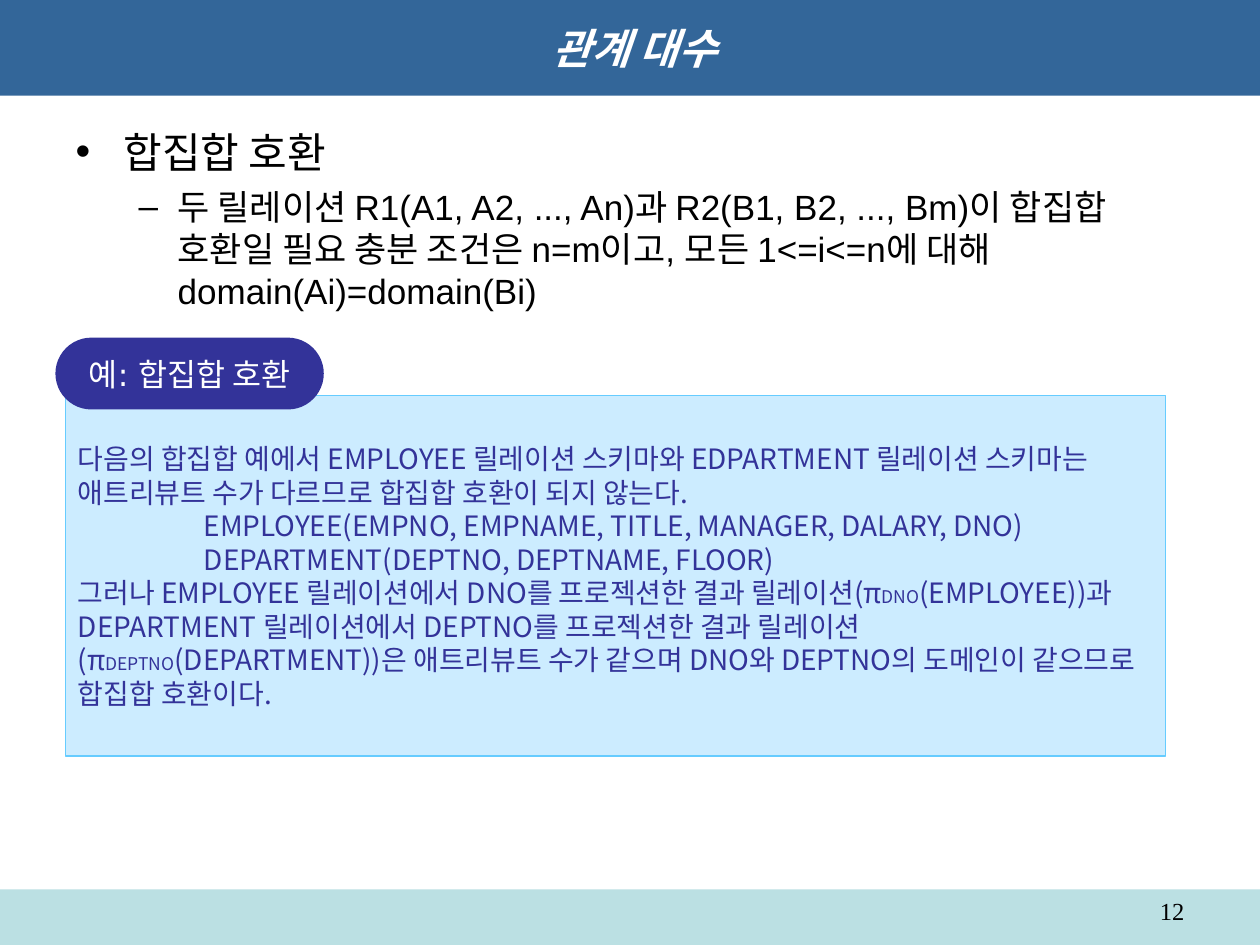
"""Build the relational algebra slide on union compatibility."""
from lxml import etree
from pptx import Presentation
from pptx.dml.color import RGBColor
from pptx.enum.shapes import MSO_SHAPE
from pptx.enum.text import MSO_ANCHOR, MSO_AUTO_SIZE, PP_ALIGN
from pptx.oxml.ns import qn
from pptx.util import Inches, Pt

RECTANGLE, ROUNDED = MSO_SHAPE.RECTANGLE, MSO_SHAPE.ROUNDED_RECTANGLE
TOP, MIDDLE = MSO_ANCHOR.TOP, MSO_ANCHOR.MIDDLE
LEFT, CENTER, RIGHT = PP_ALIGN.LEFT, PP_ALIGN.CENTER, PP_ALIGN.RIGHT
FIXED = MSO_AUTO_SIZE.NONE

THEME = {
    "band": "336699", "footer": "BBE0E3", "panel": "CCECFF", "edge": "66CCFF",
    "accent": "333399", "light": "FFFFFF", "dark": "000000",
    "east_asian": "Noto Sans CJK JP",
    "heading": {"name": "DejaVu Sans", "size": Pt(24), "bold": True, "italic": True},
    "topic": {"name": "Arial", "size": Pt(24)},
    "detail": {"name": "Arial", "size": Pt(20)},
    "example": {"name": "Noto Sans CJK JP", "size": Pt(16)},
    "subscript": {"name": "Noto Sans CJK JP", "size": Pt(10)},
    "label": {"name": "DejaVu Sans", "size": Pt(18)},
    "number": {"name": "Times New Roman", "size": Pt(14)},
}

deck = Presentation()
deck.slide_width, deck.slide_height = Inches(10), Inches(7.5)
COLUMN, ROW = deck.slide_width / 10, deck.slide_height / 7.5
page = deck.slides.add_slide(deck.slide_layouts[1])


def dress(shape, area, fill=None, edge=None):
    """Place a shape on the grid and colour its fill and outline."""
    for side, cells, unit in zip(("left", "top", "width", "height"), area, (COLUMN, ROW) * 2):
        setattr(shape, side, round(cells * unit))
    shape.shadow.inherit = False
    if fill:
        shape.fill.solid()
        shape.fill.fore_color.rgb = RGBColor.from_string(THEME[fill])
    if edge:
        shape.line.color.rgb = RGBColor.from_string(THEME[edge])
        shape.line.width = Pt(1)
    else:
        shape.line.fill.background()
    return shape


def write(shape, paragraphs, color, align=LEFT, anchor=TOP, wrap=True):
    """Fill a shape with paragraphs made of (text, style) spans."""
    frame = shape.text_frame
    layout = {"word_wrap": wrap, "auto_size": FIXED, "vertical_anchor": anchor,
              "margin_left": Inches(0.1), "margin_right": Inches(0.1),
              "margin_top": Inches(0.05), "margin_bottom": Inches(0.05)}
    for name, value in layout.items():
        setattr(frame, name, value)
    for index, spans in enumerate(paragraphs):
        para = frame.add_paragraph() if index else frame.paragraphs[0]
        para.alignment = align
        for text, style in spans:
            span = para.add_run()
            span.text = text
            for name, value in THEME[style].items():
                setattr(span.font, name, value)
            span.font.color.rgb = RGBColor.from_string(THEME[color])
            east_asian = etree.SubElement(span.font._element, qn("a:ea"))
            east_asian.set("typeface", THEME["east_asian"])
    return frame.paragraphs


title = dress(page.shapes.title, (0, 0, 10, 0.76), "band")
write(title, [[(" 관계 대수", "heading")]], "light", CENTER, MIDDLE)

body = dress(page.placeholders[1], (0.5, 0.95, 9, 5.95))
points = write(body, [
    [("합집합 호환", "topic")],
    [("두 릴레이션 R1(A1, A2, ..., An)과 R2(B1, B2, ..., Bm)이 합집합 호환일 필요 충분 조건은 "
      "n=m이고, 모든 1<=i<=n에 대해 domain(Ai)=domain(Bi)", "detail")],
], "dark")
bullets = [("•", 0.38, -0.38, 0), ("–", 0.81, -0.31, 5)]
for level, (para, (mark, margin, indent, gap)) in enumerate(zip(points, bullets)):
    para.level = level
    settings = para._p.get_or_add_pPr()
    settings.set("marL", str(Inches(margin)))
    settings.set("indent", str(Inches(indent)))
    tint = etree.SubElement(settings, qn("a:buClr"))
    etree.SubElement(tint, qn("a:srgbClr")).set("val", THEME["dark"])
    etree.SubElement(settings, qn("a:buFont")).set("typeface", "Arial")
    etree.SubElement(settings, qn("a:buChar")).set("char", mark)
    para.space_before = Pt(gap)

footer = page.shapes.add_shape(RECTANGLE, 0, 0, 0, 0)
dress(footer, (0, 7.06, 10, 0.44), "footer")

panel = page.shapes.add_shape(RECTANGLE, 0, 0, 0, 0)
dress(panel, (0.52, 3.14, 8.73, 2.86), "panel", "edge")
lines = write(panel, [
    [("다음의 합집합 예에서 EMPLOYEE 릴레이션 스키마와 EDPARTMENT 릴레이션 스키마는 "
      "애트리뷰트 수가 다르므로 합집합 호환이 되지 않는다.", "example")],
    [("\tEMPLOYEE(EMPNO, EMPNAME, TITLE, MANAGER, DALARY, DNO)", "example")],
    [("\tDEPARTMENT(DEPTNO, DEPTNAME, FLOOR)", "example")],
    [("그러나 EMPLOYEE 릴레이션에서 DNO를 프로젝션한 결과 릴레이션(π", "example"),
     ("DNO", "subscript"),
     ("(EMPLOYEE))과 DEPARTMENT 릴레이션에서 DEPTNO를 프로젝션한 결과 릴레이션 (π", "example"),
     ("DEPTNO", "subscript"),
     ("(DEPARTMENT))은 애트리뷰트 수가 같으며 DNO와 DEPTNO의 도메인이 "
      "같으므로 합집합 호환이다.", "example")],
], "accent", LEFT, MIDDLE)
for para in lines:
    stops = etree.SubElement(para._p.get_or_add_pPr(), qn("a:tabLst"))
    etree.SubElement(stops, qn("a:tab"), pos=str(Inches(1)), algn="l")

label = page.shapes.add_shape(ROUNDED, 0, 0, 0, 0)
dress(label, (0.44, 2.68, 2.13, 0.57), "accent")
label.adjustments[0] = 0.5
write(label, [[("예: 합집합 호환", "label")]], "light", CENTER, MIDDLE, False)

number = page.shapes.add_textbox(0, 0, 0, 0)
dress(number, (7.17, 7.06, 2.33, 0.29))
write(number, [[("12", "number")]], "dark", RIGHT)

deck.save("out.pptx")
